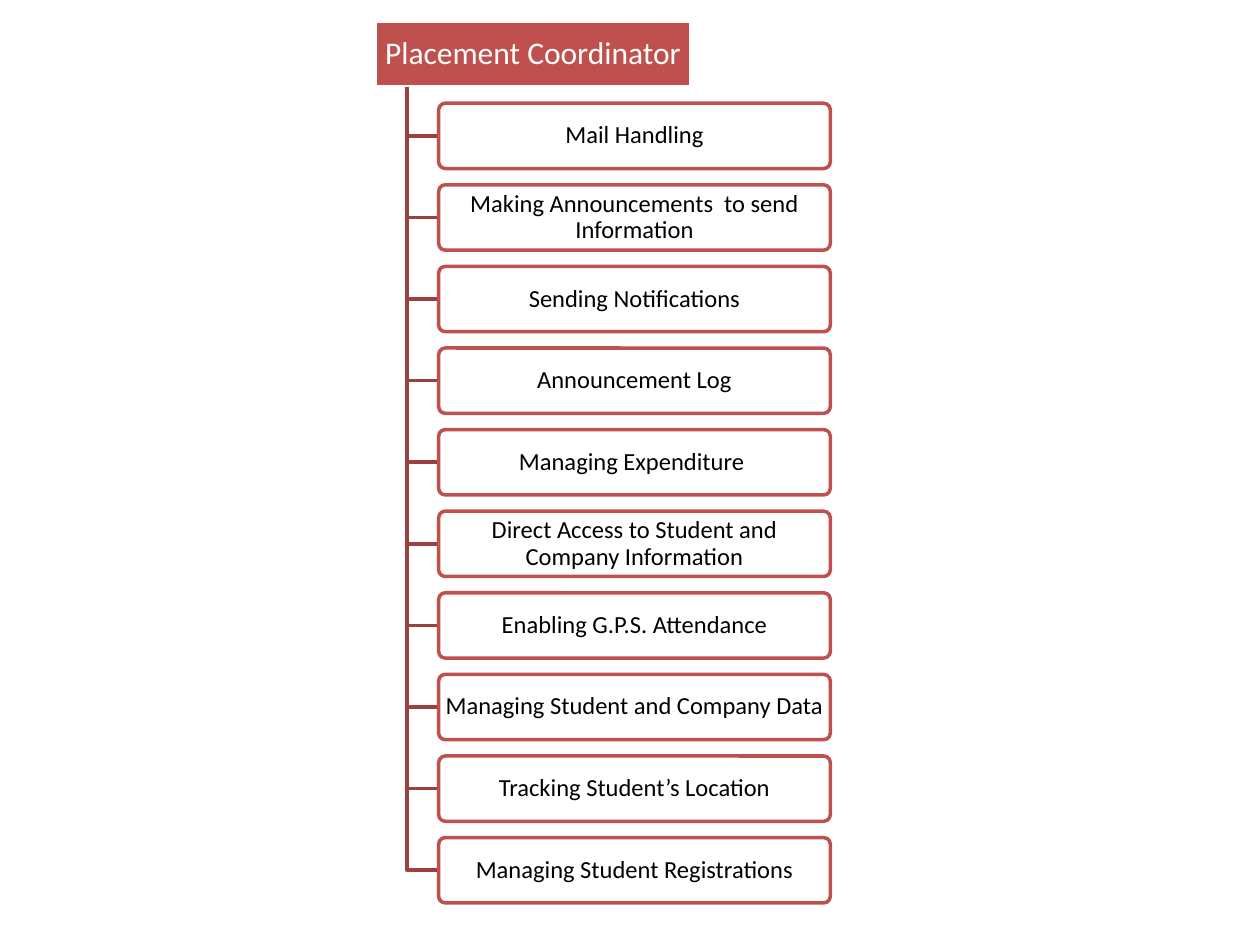
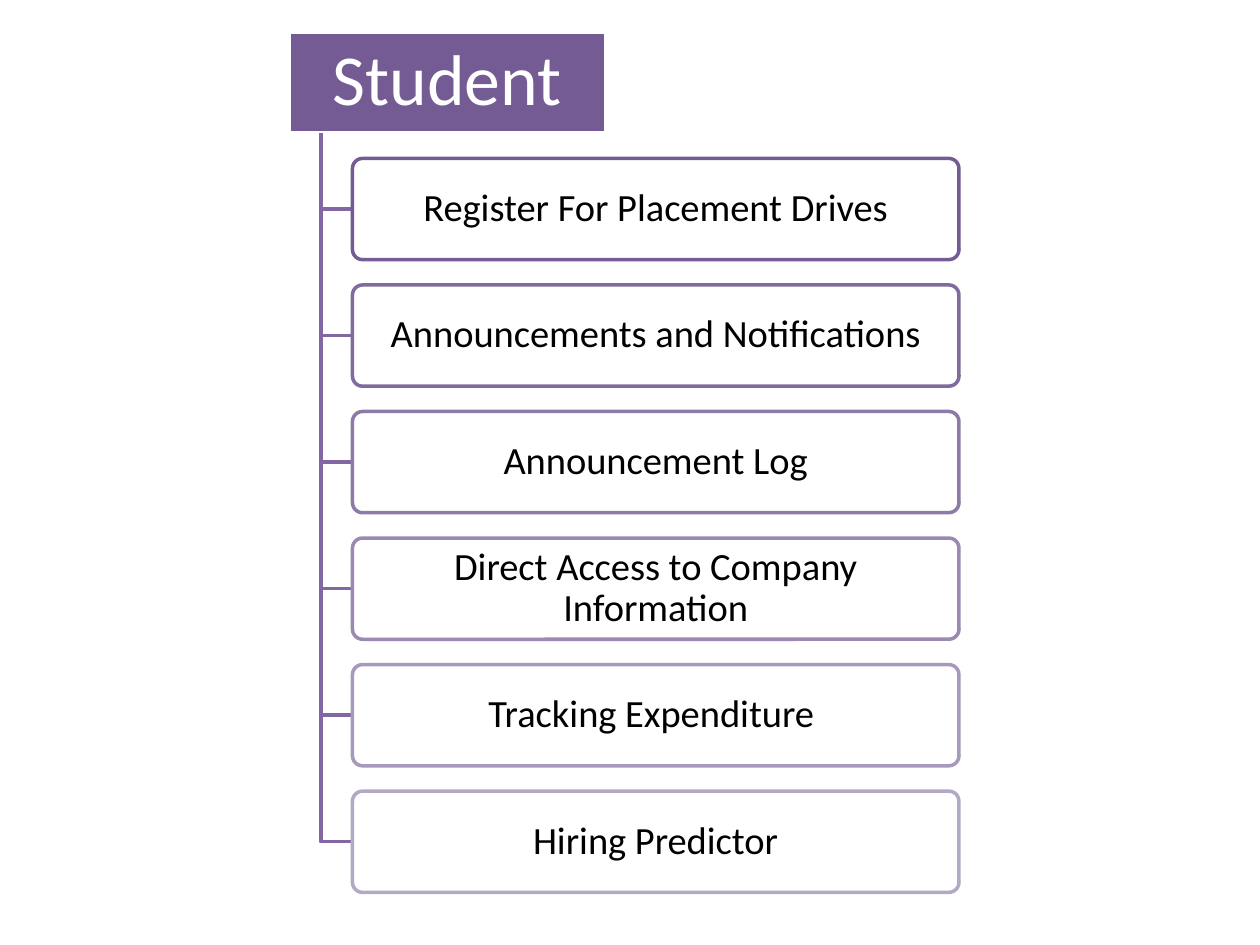
from lxml.etree import SubElement
from pptx import Presentation
from pptx.dml.color import RGBColor
from pptx.enum.shapes import MSO_SHAPE
from pptx.enum.text import MSO_ANCHOR, MSO_AUTO_SIZE, PP_ALIGN
from pptx.oxml import parse_xml
from pptx.oxml.ns import nsdecls, qn
from pptx.util import Pt

FONT = "Calibri"
WHITE, BLACK = "FFFFFF", "000000"
LINE_WIDTH = 2
CORNER = 0.1
ROW_PITCH = 1.25
TRUNK_INDENT, ITEM_INDENT = 0.1, 0.2
TITLE_ONLY = 5

COORDINATOR = {
    "title": "Placement Coordinator",
    "box": (214.7, 12.4, 179.8, 37.3),
    "item_width": 223.8,
    "title_format": {"size": 18, "insets": (2.5, 2)},
    "item_format": {"size": 14, "insets": (2, 1.5)},
    "branch_color": "9A403E",
    "item_colors": ("C0504D", "C0504D"),
    "items": [
        "Mail Handling",
        "Making Announcements  to send Information",
        "Sending Notifications",
        "Announcement Log",
        "Managing Expenditure ",
        "Direct Access to Student and Company Information",
        "Enabling G.P.S. Attendance",
        "Managing Student and Company Data",
        "Tracking Student’s Location",
        "Managing Student Registrations",
    ],
}
STUDENT = {
    "title": "Student",
    "box": (165.2, 18.2, 181, 57.85),
    "item_width": 346.6,
    "title_format": {"size": 41, "insets": (6, 4)},
    "item_format": {"size": 22, "insets": (3.5, 2)},
    "branch_color": "8267A3",
    "item_colors": ("745B93", "B4A9C5"),
    "items": [
        "Register For Placement Drives",
        "Announcements and Notifications",
        "Announcement Log",
        "Direct Access to Company Information",
        "Tracking Expenditure ",
        "Hiring Predictor",
    ],
}


def color(value):
    """Turn a hex string into a colour."""
    return RGBColor.from_string(value)


def blend(first, last, share):
    """Return the hex colour that lies the given share of the way to the last one."""
    pairs = zip(color(first), color(last))
    return "".join(f"{round(a + (b - a) * share):02X}" for a, b in pairs)


def write(shape, text, size, insets, text_color=BLACK):
    """Write centred text into a shape."""
    frame = shape.text_frame
    frame.word_wrap = True
    frame.auto_size = MSO_AUTO_SIZE.NONE
    frame.vertical_anchor = MSO_ANCHOR.MIDDLE
    frame.margin_left = frame.margin_right = Pt(insets[0])
    frame.margin_top = frame.margin_bottom = Pt(insets[1])
    paragraph = frame.paragraphs[0]
    paragraph.alignment = PP_ALIGN.CENTER
    paragraph.line_spacing = 0.9
    run = paragraph.add_run()
    run.text = text
    run.font.name = FONT
    run.font.size = Pt(size)
    run.font.color.rgb = color(text_color)


def paint(shape, fill, line):
    """Give a shape its fill and outline."""
    shape.fill.solid()
    shape.fill.fore_color.rgb = color(fill)
    shape.line.color.rgb = color(line)
    shape.line.width = Pt(LINE_WIDTH)


def add_heading(slide, text, box, fill, text_format):
    """Turn the title placeholder into the rounded heading of the tree."""
    heading = slide.shapes.title
    heading.left, heading.top, heading.width, heading.height = map(Pt, box)
    heading._element.spPr.append(parse_xml(
        f'<a:prstGeom {nsdecls("a")} prst="roundRect"><a:avLst>'
        f'<a:gd name="adj" fmla="val {round(CORNER * 100000)}"/>'
        "</a:avLst></a:prstGeom>"))
    paint(heading, fill, WHITE)
    write(heading, text, text_color=WHITE, **text_format)


def add_branch(slide, start, end, line):
    """Draw an elbow that runs down from the heading and right to an item."""
    builder = slide.shapes.build_freeform(Pt(start[0]), Pt(start[1]))
    builder.add_line_segments(
        [(Pt(start[0]), Pt(end[1])), (Pt(end[0]), Pt(end[1]))], close=False)
    branch = builder.convert_to_shape()
    branch.shadow.inherit = False
    branch.fill.background()
    branch.line.color.rgb = color(line)
    branch.line.width = Pt(LINE_WIDTH)


def add_item(slide, text, box, line, text_format):
    """Add one outlined item of the tree."""
    item = slide.shapes.add_shape(MSO_SHAPE.ROUNDED_RECTANGLE, *map(Pt, box))
    item.adjustments[0] = CORNER
    item.shadow.inherit = False
    paint(item, WHITE, line)
    fill_color = item._element.spPr.find(qn("a:solidFill"))[0]
    SubElement(fill_color, qn("a:alpha"), val="90000")
    write(item, text, **text_format)


def add_tree_slide(presentation, tree):
    """Add a slide with a heading and the items that hang from it."""
    slide = presentation.slides.add_slide(presentation.slide_layouts[TITLE_ONLY])
    left, top, width, height = tree["box"]
    first_color, last_color = tree["item_colors"]
    add_heading(slide, tree["title"], tree["box"], first_color, tree["title_format"])
    trunk_start = (left + TRUNK_INDENT * width, top + height)
    item_left = left + ITEM_INDENT * width
    last_index = len(tree["items"]) - 1
    for index, text in enumerate(tree["items"]):
        item_top = top + (index + 1) * ROW_PITCH * height
        add_branch(slide, trunk_start, (item_left, item_top + height / 2),
                   tree["branch_color"])
        add_item(slide, text, (item_left, item_top, tree["item_width"], height),
                 blend(first_color, last_color, index / last_index),
                 tree["item_format"])


def main():
    """Build and save the presentation."""
    presentation = Presentation()
    presentation.slide_width, presentation.slide_height = Pt(720), Pt(540)
    for tree in (COORDINATOR, STUDENT):
        add_tree_slide(presentation, tree)
    presentation.save("out.pptx")


if __name__ == "__main__":
    main()
